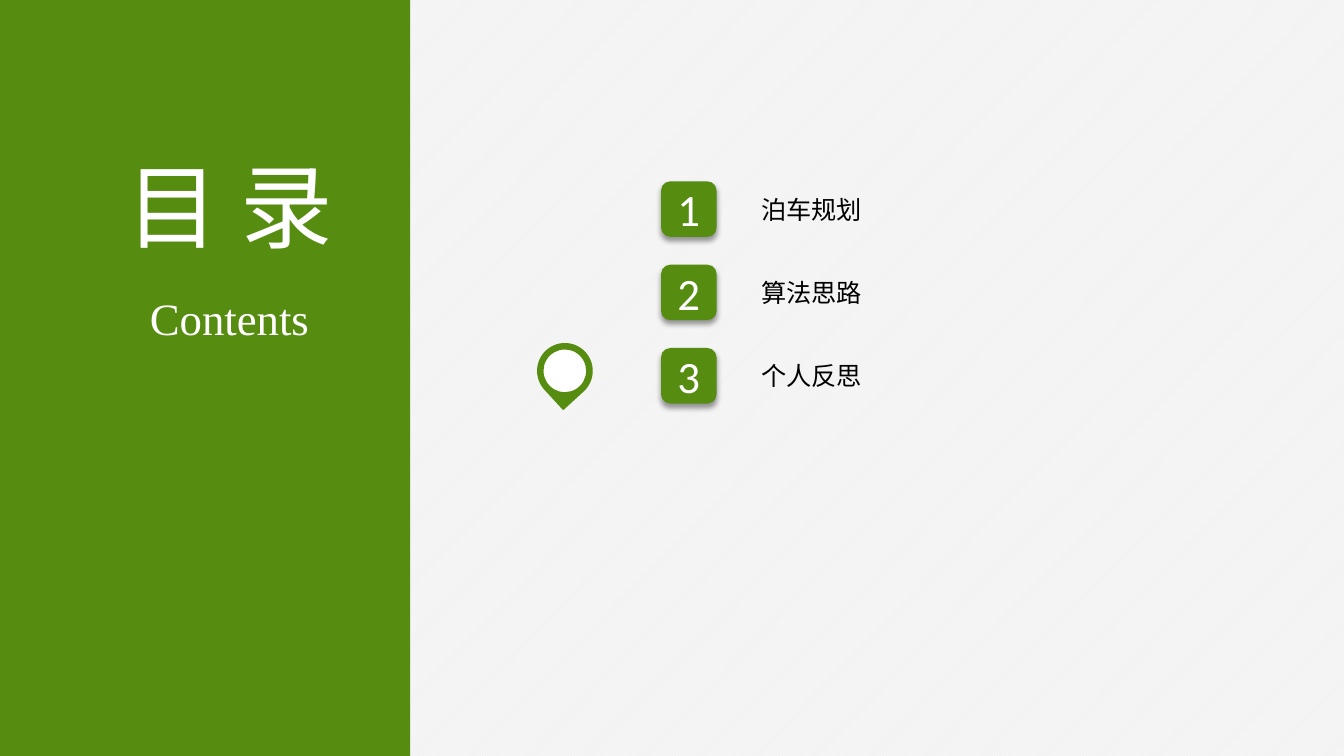
import pptx
import pptx.dml.color
import pptx.enum.dml
import pptx.enum.shapes
import pptx.enum.text
import pptx.oxml
import pptx.oxml.ns
import pptx.util
import lxml.etree

Cm, Pt = pptx.util.Cm, pptx.util.Pt
Kind = pptx.enum.shapes.MSO_SHAPE
GREEN, WHITE, BLACK, GREY = "568D11", "FFFFFF", "000000", "F2F2F2"
HAN, ROMAN, SANS = "Noto Sans CJK SC", "Times New Roman", "Calibri"


def color(code):
    return pptx.dml.color.RGBColor.from_string(code)


class Deck:
    def __init__(self, width, height):
        self.file = pptx.Presentation()
        self.file.slide_width, self.file.slide_height = Cm(width), Cm(height)
        self.slide = self.file.slides.add_slide(self.file.slide_layouts[6])

    def back(self, front, base):
        fill = self.slide.background.fill
        fill.patterned()
        fill.pattern = pptx.enum.dml.MSO_PATTERN.LIGHT_UPWARD_DIAGONAL
        fill.fore_color.rgb, fill.back_color.rgb = color(front), color(base)

    def letter(self, shape, text, size, font, ink):
        frame = shape.text_frame
        frame.text = text
        para = frame.paragraphs[0]
        para.alignment = pptx.enum.text.PP_ALIGN.CENTER
        for run in para.runs:
            run.font.size, run.font.name = Pt(size), font
            run.font.color.rgb = color(ink)
            east = lxml.etree.SubElement(run.font._element, pptx.oxml.ns.qn("a:ea"))
            east.set("typeface", font)

    def shape(self, kind, left, top, width, height, fill, line=None, group=None):
        home = group or self.slide
        item = home.shapes.add_shape(kind, Cm(left), Cm(top), Cm(width), Cm(height))
        item.shadow.inherit = False
        item.fill.solid()
        item.fill.fore_color.rgb = color(fill)
        if line:
            item.line.color.rgb = color(line)
            item.line.width = Pt(1)
        else:
            item.line.fill.background()
        return item

    def shade(self, shape):
        glow = pptx.oxml.parse_xml(
            f'<a:outerShdw {pptx.oxml.ns.nsdecls("a")} blurRad="{Pt(4)}" dist="{Pt(3)}" '
            'dir="5400000" algn="t" rotWithShape="0"><a:srgbClr val="000000">'
            '<a:alpha val="40000"/></a:srgbClr></a:outerShdw>')
        shape._element.spPr.find(pptx.oxml.ns.qn("a:effectLst")).append(glow)

    def badge(self, left, top, side, text):
        item = self.shape(Kind.ROUNDED_RECTANGLE, left, top, side, side, GREEN)
        self.shade(item)
        item.text_frame.vertical_anchor = pptx.enum.text.MSO_ANCHOR.MIDDLE
        self.letter(item, text, 32, SANS, WHITE)

    def label(self, left, top, width, height, text, size, font, ink):
        box = self.slide.shapes.add_textbox(Cm(left), Cm(top), Cm(width), Cm(height))
        box.text_frame.word_wrap = False
        box.text_frame.auto_size = pptx.enum.text.MSO_AUTO_SIZE.SHAPE_TO_FIT_TEXT
        self.letter(box, text, size, font, ink)

    def pin(self, left, top, size, hole):
        group = self.slide.shapes.add_group_shape()
        drop = self.shape(Kind.TEAR, left, top, size, size, GREEN, GREEN, group)
        drop.rotation = 137.5
        gap = (size - hole) / 2
        self.shape(Kind.OVAL, left + gap, top + gap, hole, hole, WHITE, GREEN, group)


def main():
    deck = Deck(33.87, 19.05)
    deck.back(WHITE, GREY)

    # Numbered topics
    for row, topic in enumerate(["泊车规划", "算法思路", "个人反思"]):
        top = 4.57 + row * 2.1
        deck.badge(16.66, top, 1.4, str(row + 1))
        deck.label(18.92, top + 0.19, 3.07, 1.02, topic, 18, HAN, BLACK)

    # Title panel
    deck.shape(Kind.RECTANGLE, 0, 0, 10.34, 19.05, GREEN)
    deck.label(2.59, 3.63, 6.4, 3.07, "目 录", 66, HAN, WHITE)
    deck.label(3.5, 7.21, 4.57, 1.63, "Contents", 32, ROMAN, WHITE)

    # Marker at the current topic
    deck.pin(13.55, 8.66, 1.37, 1.11)

    deck.file.save("out.pptx")


if __name__ == "__main__":
    main()
